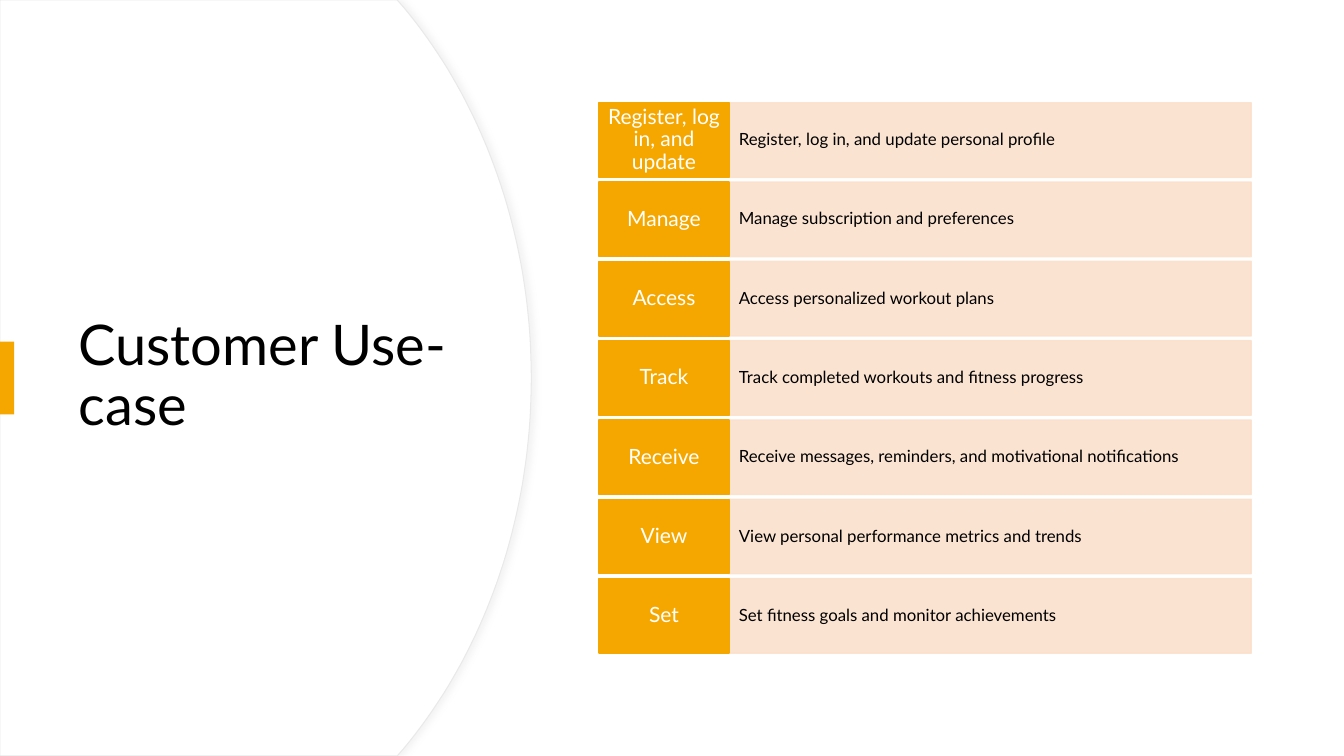
from lxml import etree
from pptx import Presentation
from pptx.dml.color import RGBColor
from pptx.enum.shapes import MSO_SHAPE as Shape
from pptx.enum.text import MSO_ANCHOR as Anchor, PP_ALIGN as Align
from pptx.oxml import parse_xml
from pptx.oxml.ns import nsdecls, qn
from pptx.util import Inches, Pt

FONT = "Lato"
AMBER, PEACH, WHITE, BLACK = "F5A700", "FBE1CC", "FFFFFF", "000000"
WIDTH, HEIGHT = 13.33, 7.5


def paint(shape, fill, line=None, line_width=1, opacity=100):
    shape.shadow.inherit = False
    shape.fill.solid()
    shape.fill.fore_color.rgb = RGBColor.from_string(fill)
    if line:
        shape.line.color.rgb = RGBColor.from_string(line)
        shape.line.width = Pt(line_width)
    else:
        shape.line.fill.background()
    if opacity < 100:
        for color in shape._element.spPr.iter(qn("a:srgbClr")):
            etree.SubElement(color, qn("a:alpha")).set("val", str(opacity * 1000))


def write(shape, text, size, color, align, margin_x, margin_y):
    frame = shape.text_frame
    frame.word_wrap = True
    frame.vertical_anchor = Anchor.MIDDLE
    frame.margin_left = frame.margin_right = Inches(margin_x)
    frame.margin_top = frame.margin_bottom = Inches(margin_y)
    frame.text = text
    paragraph = frame.paragraphs[0]
    paragraph.alignment = align
    paragraph.line_spacing = 0.9
    paragraph.font.name = FONT
    paragraph.font.size = Pt(size)
    paragraph.font.color.rgb = RGBColor.from_string(color)


deck = Presentation()
deck.slide_width, deck.slide_height = Inches(WIDTH), Inches(HEIGHT)
slide = deck.slides.add_slide(deck.slide_layouts[5])
shapes = slide.shapes
slide.background.fill.solid()
slide.background.fill.fore_color.rgb = RGBColor.from_string(WHITE)

# Curved panel: the upper Bezier arc, mirrored about the middle of the slide
arc_x, arc_y = (4.01, 4.79, 5.27, 5.27), (0.08, 1.02, 2.32, HEIGHT / 2)
STEPS = 40
upper_arc = []
for step in range(STEPS + 1):
    t = step / STEPS
    weights = ((1 - t) ** 3, 3 * t * (1 - t) ** 2, 3 * t * t * (1 - t), t ** 3)
    upper_arc.append(tuple(sum(w * c for w, c in zip(weights, axis))
                           for axis in (arc_x, arc_y)))
upper_edge = [(3.94, 0)] + upper_arc
lower_edge = [(x, HEIGHT - y) for x, y in reversed(upper_edge[:-1])]
outline = shapes.build_freeform(0, 0, scale=Inches(1) / 1000)
outline.add_line_segments([(x * 1000, y * 1000) for x, y in
                           upper_edge + lower_edge + [(0, HEIGHT)]])
panel = outline.convert_to_shape()
paint(panel, WHITE, "E9E9E9", 0.75)
panel._element.spPr.find(qn("a:effectLst")).append(parse_xml(
    f'<a:outerShdw {nsdecls("a")} blurRad="{Pt(4)}" dist="{Pt(3)}" dir="0" '
    'algn="l" rotWithShape="0"><a:srgbClr val="D9D9D9">'
    '<a:alpha val="30000"/></a:srgbClr></a:outerShdw>'))

# Title, in front of the panel
title = shapes.title
title.left, title.top = Inches(0.68), Inches(1.27)
title.width, title.height = Inches(3.94), Inches(4.95)
write(title, "Customer Use-case", 40, BLACK, Align.LEFT, 0.1, 0.05)
shapes._spTree.append(title._element)

# Accent at the left edge
accent = shapes.add_shape(Shape.RECTANGLE, 0, Inches(3.39), Inches(0.14), Inches(0.72))
paint(accent, AMBER)

# Use cases: a verb and its description in each row
use_cases = [
    ("Register, log in, and update", "Register, log in, and update personal profile"),
    ("Manage", "Manage subscription and preferences"),
    ("Access", "Access personalized workout plans"),
    ("Track", "Track completed workouts and fitness progress"),
    ("Receive", "Receive messages, reminders, and motivational notifications"),
    ("View", "View personal performance metrics and trends"),
    ("Set", "Set fitness goals and monitor achievements"),
]
FIRST_TOP, LAST_TOP, ROW_HEIGHT = 1.02, 5.74, 0.74
VERB_LEFT, VERB_WIDTH, DETAIL_WIDTH = 5.94, 1.29, 5.18
row_pitch = (LAST_TOP - FIRST_TOP) / (len(use_cases) - 1)

for row, (verb, detail) in enumerate(use_cases):
    top = Inches(FIRST_TOP + row * row_pitch)
    detail_cell = shapes.add_shape(Shape.RECTANGLE, Inches(VERB_LEFT + VERB_WIDTH), top,
                                   Inches(DETAIL_WIDTH), Inches(ROW_HEIGHT))
    paint(detail_cell, PEACH, PEACH, opacity=90)
    write(detail_cell, detail, 12, BLACK, Align.LEFT, 0.1, 0.19)

    verb_cell = shapes.add_shape(Shape.RECTANGLE, Inches(VERB_LEFT), top,
                                 Inches(VERB_WIDTH), Inches(ROW_HEIGHT))
    paint(verb_cell, AMBER, AMBER)
    write(verb_cell, verb, 15, WHITE, Align.CENTER, 0.07, 0.07)

deck.save("out.pptx")
